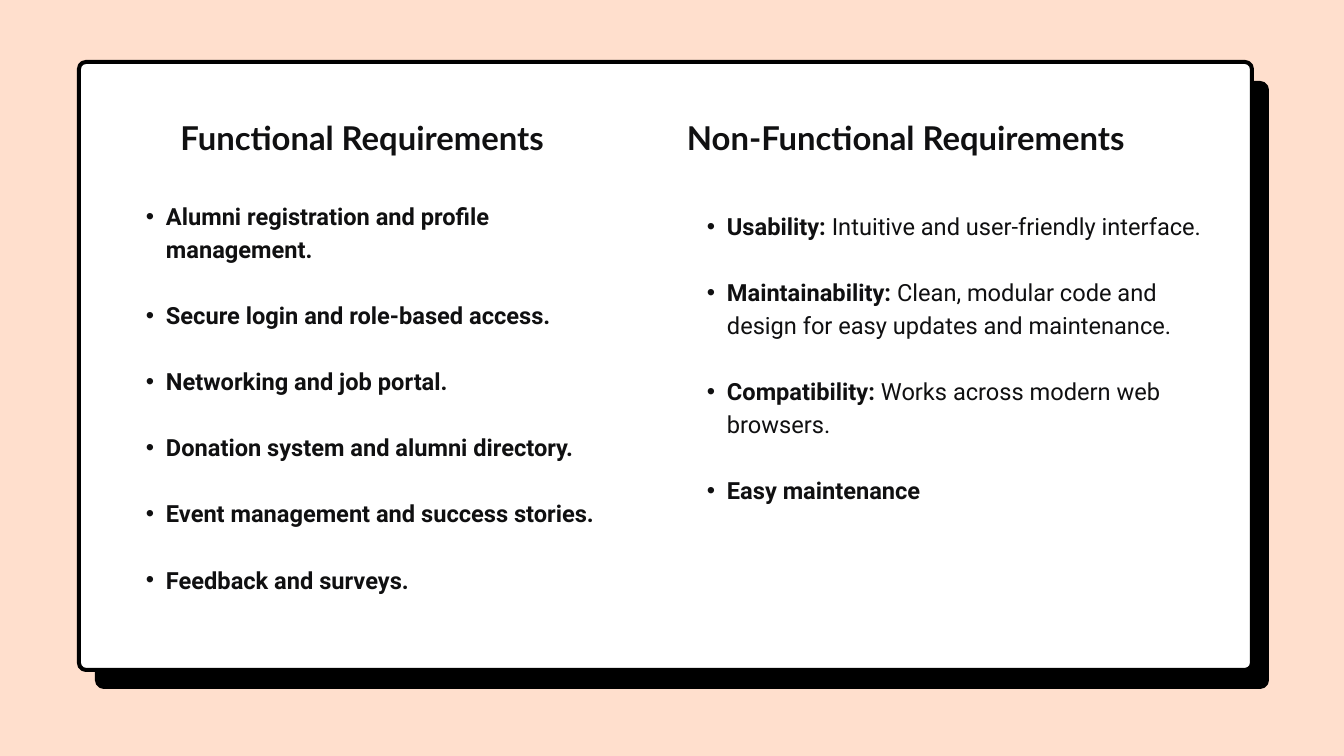
from lxml import etree
from pptx import Presentation
from pptx.dml.color import RGBColor
from pptx.enum.shapes import MSO_SHAPE
from pptx.enum.text import MSO_AUTO_SIZE, PP_ALIGN
from pptx.oxml.ns import qn
from pptx.util import Emu, Pt

ROUND = MSO_SHAPE.ROUNDED_RECTANGLE
GROW = MSO_AUTO_SIZE.SHAPE_TO_FIT_TEXT
LEFT, CENTER, JUSTIFY = PP_ALIGN.LEFT, PP_ALIGN.CENTER, PP_ALIGN.JUSTIFY

PEACH = RGBColor(0xFF, 0xDF, 0xCD)
WHITE = RGBColor(0xFF, 0xFF, 0xFF)
BLACK = RGBColor(0x00, 0x00, 0x00)
INK = RGBColor(0x10, 0x10, 0x11)

SCALE = 914400 / 94.5


def px(n):
    return Emu(round(n * SCALE))


class Deck:
    head_font, body_font = "Lato", "Roboto"
    head_size, body_size = 25, 18
    leading = 1.4

    def __init__(self, width, height):
        self.prs = Presentation()
        self.prs.slide_width, self.prs.slide_height = px(width), px(height)
        self.slide = None

    def add_slide(self, color):
        self.slide = self.prs.slides.add_slide(self.prs.slide_layouts[6])
        fill = self.slide.background.fill
        fill.solid()
        fill.fore_color.rgb = color

    def panel(self, x, y, w, h, color, radius=7, border=4):
        shape = self.slide.shapes.add_shape(ROUND, px(x), px(y), px(w), px(h))
        shape.adjustments[0] = radius / min(w, h)
        shape.shadow.inherit = False
        shape.fill.solid()
        shape.fill.fore_color.rgb = color
        shape.line.color.rgb = BLACK
        shape.line.width = px(border)

    def frame(self, x, y, w, h):
        box = self.slide.shapes.add_textbox(px(x), px(y), px(w), px(h))
        frame = box.text_frame
        frame.margin_left = frame.margin_right = 0
        frame.margin_top = frame.margin_bottom = 0
        frame.word_wrap = True
        frame.auto_size = GROW
        return frame

    def run(self, para, text, font, size, bold):
        run = para.add_run()
        run.text = text
        run.font.name = font
        run.font.size = Pt(size)
        run.font.bold = bold
        run.font.color.rgb = INK

    def heading(self, x, y, w, h, text, align):
        para = self.frame(x, y, w, h).paragraphs[0]
        para.alignment = align
        para.line_spacing = Pt(self.head_size * self.leading)
        self.run(para, text, self.head_font, self.head_size, True)

    def bullets(self, x, y, w, h, items):
        """Each item is a bold lead and a plain rest; either may be empty."""
        frame = self.frame(x, y, w, h)
        line = Pt(self.body_size * self.leading)
        for i, (lead, rest) in enumerate(items):
            para = frame.add_paragraph() if i else frame.paragraphs[0]
            props = para._p.get_or_add_pPr()
            props.set("marL", str(px(40)))
            props.set("indent", str(px(-20)))
            etree.SubElement(props, qn("a:buFont"), typeface="Arial")
            etree.SubElement(props, qn("a:buChar"), char="•")
            para.level = 1
            para.alignment = LEFT
            para.line_spacing = line
            if i:
                para.space_before = line
            for text, bold in ((lead, True), (rest, False)):
                if text:
                    self.run(para, text, self.body_font, self.body_size, bold)


FUNCTIONAL = [
    ("Alumni registration and profile management.", ""),
    ("Secure login and role-based access.", ""),
    ("Networking and job portal.", ""),
    ("Donation system and alumni directory.", ""),
    ("Event management and success stories.", ""),
    ("Feedback and surveys.", ""),
]
QUALITY = [
    ("Usability: ", "Intuitive and user-friendly interface."),
    ("Maintainability:",
     " Clean, modular code and design for easy updates and maintenance."),
    ("Compatibility: ", "Works across modern web browsers."),
    ("Easy maintenance", ""),
]


def main():
    deck = Deck(1344, 756)
    deck.add_slide(PEACH)
    deck.panel(97, 83, 1170, 604, BLACK)
    deck.panel(79, 62, 1173, 608, WHITE)
    deck.heading(141, 111, 442, 50, "Functional Requirements", CENTER)
    deck.heading(687, 111, 518, 50, "Non-Functional Requirements", JUSTIFY)
    deck.bullets(126, 197, 512, 357, FUNCTIONAL)
    deck.bullets(687, 207, 533, 293, QUALITY)
    deck.prs.save("out.pptx")


if __name__ == "__main__":
    main()
